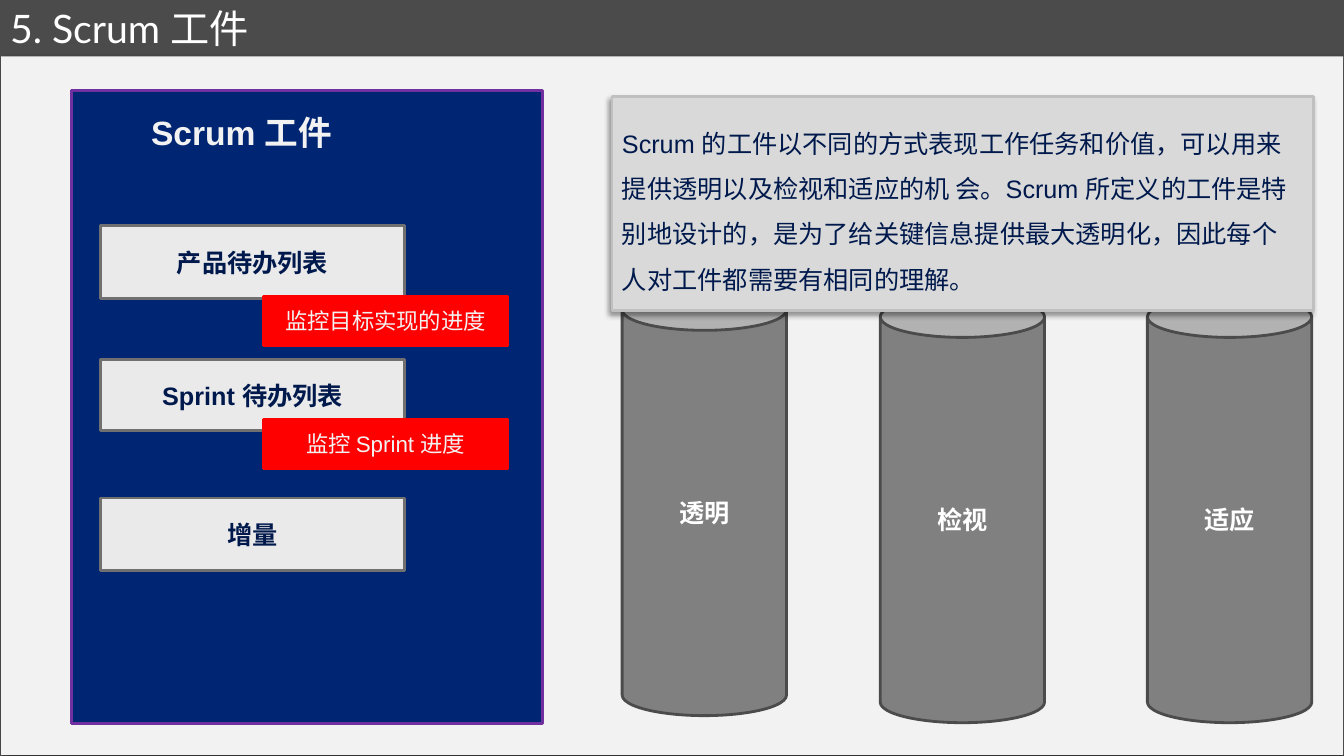
from dataclasses import dataclass

from lxml import etree
from pptx import Presentation
from pptx import util as u
from pptx.dml.color import RGBColor
from pptx.enum import shapes, text
from pptx.oxml.ns import qn


@dataclass(frozen=True)
class Theme:
    bar: str = "4B4B4B"
    paper: str = "F2F2F2"
    white: str = "FFFFFF"
    navy: str = "002673"
    purple: str = "7030A0"
    ink: str = "00194C"
    card: str = "EAEAEA"
    card_edge: str = "707070"
    alert: str = "FF0000"
    pillar: str = "808080"
    note: str = "D9D9D9"
    note_edge: str = "C0C0C0"
    black: str = "000000"
    title_font: str = "Lato"
    body_font: str = "Arial"
    title_size: int = 28
    heading_size: int = 24
    body_size: int = 18
    tag_size: int = 16
    line_width: int = 2


THEME = Theme()
WIDTH, HEIGHT = u.Inches(13.33), u.Inches(7.5)
RECT = shapes.MSO_SHAPE.RECTANGLE
CAN = shapes.MSO_SHAPE.CAN

ARTIFACTS = [
    ("产品待办列表", 29.87, 9.6),
    ("Sprint 待办列表", 47.6, 9.33),
    ("增量", 65.87, 9.6),
]
TAGS = [("监控目标实现的进度", 39.2), ("监控 Sprint 进度", 55.47)]
PILLARS = [("透明", 46.29, 38.27), ("检视", 65.49, 39.2), ("适应", 85.37, 39.2)]
DEFINITION = (
    "Scrum 的工件以不同的方式表现工作任务和价值，可以用来提供透明以及检视和适应的机 会。"
    "Scrum 所定义的工件是特别地设计的，是为了给关键信息提供最大透明化，因此每个 人对工件都需要有相同的理解。"
)


def share(left, top, width, height):
    return (
        round(WIDTH * left / 100),
        round(HEIGHT * top / 100),
        round(WIDTH * width / 100),
        round(HEIGHT * height / 100),
    )


def write(box, words, size, color, bold=False, font=THEME.body_font,
          align=text.PP_ALIGN.CENTER, anchor=text.MSO_ANCHOR.MIDDLE):
    frame = box.text_frame
    frame.word_wrap = True
    frame.auto_size = text.MSO_AUTO_SIZE.NONE
    frame.vertical_anchor = anchor
    para = frame.paragraphs[0]
    para.text = words
    para.alignment = align
    para.font.name = font
    para.font.size = u.Pt(size)
    para.font.bold = bold
    para.font.color.rgb = RGBColor.from_string(color)
    return para


def add_block(page, kind, place, fill, edge=None):
    block = page.shapes.add_shape(kind, *share(*place))
    block.shadow.inherit = False
    block.fill.solid()
    block.fill.fore_color.rgb = RGBColor.from_string(fill)
    if edge:
        block.line.color.rgb = RGBColor.from_string(edge)
        block.line.width = u.Pt(THEME.line_width)
    else:
        block.line.fill.background()
    return block


def cast_shadow(block, degrees):
    effects = block.element.spPr.find(qn("a:effectLst"))
    shadow = etree.SubElement(
        effects, qn("a:outerShdw"), blurRad=str(u.Pt(4)), dist=str(u.Pt(3)),
        dir=str(degrees * 60000), algn="ctr", rotWithShape="0")
    color = etree.SubElement(shadow, qn("a:srgbClr"), val=THEME.black)
    etree.SubElement(color, qn("a:alpha"), val="40000")


def add_title(page, words):
    title = page.shapes.title
    title.left, title.top, title.width, title.height = share(0, 0.13, 100, 7.07)
    write(title, words, THEME.title_size, THEME.white,
          font=THEME.title_font, align=text.PP_ALIGN.LEFT)


def add_heading(page, words):
    heading = page.shapes.add_textbox(*share(10.5, 14.13, 15.3, 6.67))
    write(heading, words, THEME.heading_size, THEME.paper, bold=True,
          align=text.PP_ALIGN.LEFT, anchor=text.MSO_ANCHOR.TOP)


def add_artifact(page, words, top, height):
    card = add_block(page, RECT, (7.5, top, 22.58, height),
                     THEME.card, THEME.card_edge)
    write(card, words, THEME.body_size, THEME.ink, bold=True)


def add_tag(page, words, top):
    tag = add_block(page, RECT, (19.58, top, 18.23, 6.53),
                    THEME.alert, THEME.alert)
    write(tag, words, THEME.tag_size, THEME.paper)


def add_pillar(page, words, left, top):
    pillar = add_block(page, CAN, (left, top, 12.23, 56.4),
                       THEME.pillar, THEME.bar)
    write(pillar, words, THEME.body_size, THEME.white, bold=True)


def add_definition(page, words):
    note = add_block(page, RECT, (45.54, 12.8, 52.21, 28.27),
                     THEME.note, THEME.note_edge)
    cast_shadow(note, 135)
    para = write(note, words, THEME.body_size, THEME.ink,
                 align=text.PP_ALIGN.LEFT)
    para.line_spacing = 1.5


def main():
    deck = Presentation()
    deck.slide_width, deck.slide_height = WIDTH, HEIGHT
    page = deck.slides.add_slide(deck.slide_layouts[5])
    page.background.fill.solid()
    page.background.fill.fore_color.rgb = RGBColor.from_string(THEME.bar)

    add_title(page, "5. Scrum 工件")
    paper = add_block(page, RECT, (0.08, 7.47, 99.85, 92.4), THEME.paper)
    cast_shadow(paper, 45)
    add_block(page, RECT, (5.33, 12, 35.03, 83.73), THEME.navy, THEME.purple)
    add_heading(page, "Scrum 工件")
    for artifact in ARTIFACTS:
        add_artifact(page, *artifact)
    for tag in TAGS:
        add_tag(page, *tag)
    for pillar in PILLARS:
        add_pillar(page, *pillar)
    add_definition(page, DEFINITION)
    deck.save("out.pptx")


if __name__ == "__main__":
    main()
